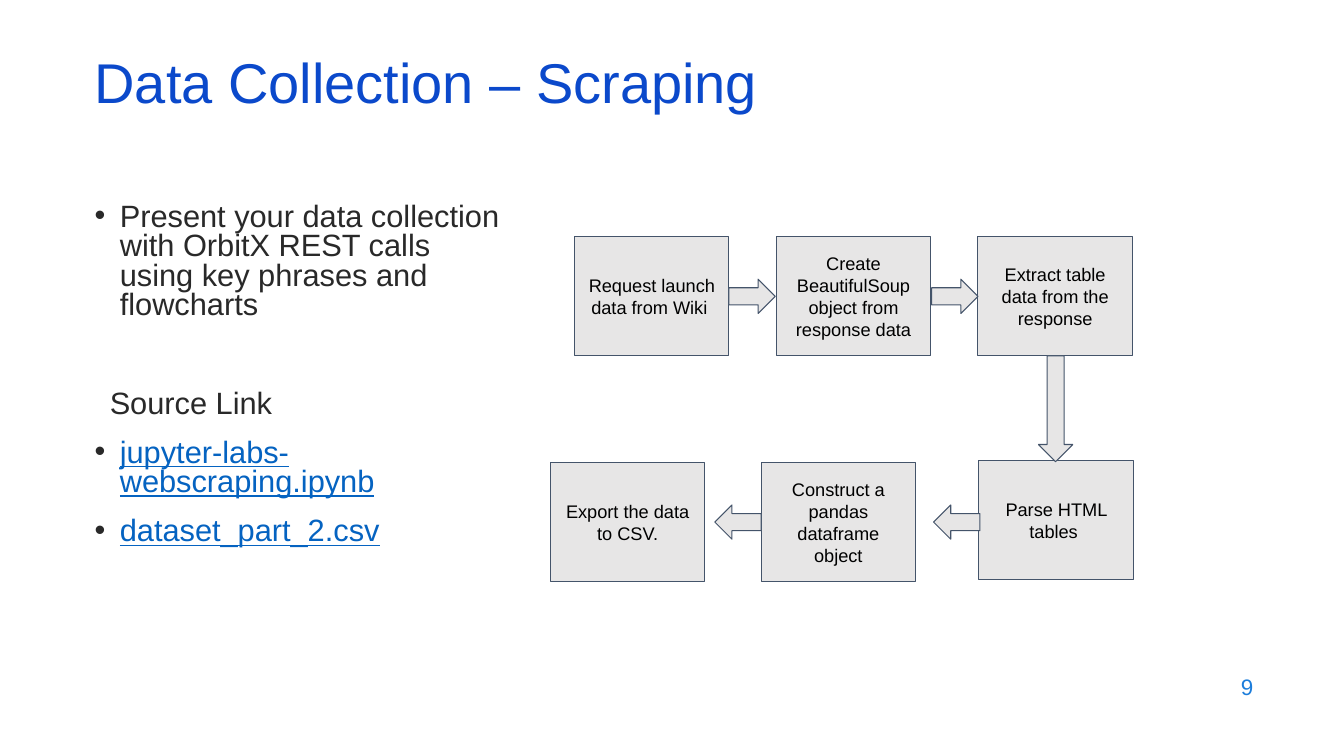
from pptx import Presentation
from pptx.dml.color import RGBColor
from pptx.enum import shapes, text
from pptx.oxml import parse_xml
from pptx.oxml.ns import nsdecls
from pptx.util import Inches, Pt

deck = Presentation()
deck.slide_width, deck.slide_height = Inches(13.33), Inches(7.5)
slide = deck.slides.add_slide(deck.slide_layouts[6])
KIND = shapes.MSO_SHAPE
ALIGN = text.PP_ALIGN
MIDDLE = text.MSO_ANCHOR.MIDDLE


def style(part, size, color, **format):
    """Set the font and the paragraph format."""
    part.font.name = "Arial"
    part.font.size = Pt(size)
    part.font.color.rgb = RGBColor.from_string(color)
    for name, value in format.items():
        setattr(part, name, value)


def draw(kind, *place):
    """Add a grey shape with a thin dark outline."""
    shape = slide.shapes.add_shape(kind, *map(Inches, place))
    shape.shadow.inherit = False
    shape.fill.solid()
    shape.fill.fore_color.rgb = RGBColor.from_string("E7E6E6")
    shape.line.color.rgb = RGBColor.from_string("44546A")
    shape.line.width = Pt(0.75)
    return shape


# Title and page number
labels = [
    ("Data Collection – Scraping", (0.84, 0.59, 11.5, 0.6), 40, "0B49CB",
     {"line_spacing": 0.7}),
    ("9", (9.53, 6.59, 3, 0.44), 16, "1C7DDB", {"alignment": ALIGN.RIGHT}),
]
for words, place, size, color, format in labels:
    frame = slide.shapes.add_textbox(*map(Inches, place)).text_frame
    frame.word_wrap = True
    frame.vertical_anchor = MIDDLE
    frame.text = words
    style(frame.paragraphs[0], size, color, **format)

# Bullets: words, space before, has bullet, is link
items = [
    ("Present your data collection with OrbitX REST calls using key phrases "
     "and flowcharts", 0, True, False),
    ("Source Link", 49, False, False),
    ("jupyter-labs-webscraping.ipynb", 14, True, True),
    ("dataset_part_2.csv", 14, True, True),
]
body = slide.shapes.add_textbox(*map(Inches, (0.84, 1.97, 4.28, 4.62))).text_frame
body.word_wrap = True
for i, (words, gap, dot, link) in enumerate(items):
    para = body.add_paragraph() if i else body.paragraphs[0]
    props = para._p.get_or_add_pPr()
    props.set("marL", str(Inches(0.25)))
    props.set("indent", str(Inches(-0.25 if dot else -0.1)))
    if dot:
        for tag in ('<a:buClr {}><a:srgbClr val="292929"/></a:buClr>',
                    '<a:buFont {} typeface="Arial"/>', '<a:buChar {} char="•"/>'):
            props.append(parse_xml(tag.format(nsdecls("a"))))
    para.line_spacing = 0.8
    para.space_before = Pt(gap)
    run = para.add_run()
    run.text = words
    style(run, 22, "0563C1" if link else "292929")
    run.font.underline = link

# Flowchart steps
steps = [
    (5.7, 2.35, "Request launch data from Wiki "),
    (7.7, 2.35, "Create BeautifulSoup object from response data"),
    (9.7, 2.35, "Extract table data from the response"),
    (9.71, 4.57, "Parse HTML tables "),
    (7.55, 4.59, "Construct a pandas dataframe object"),
    (5.46, 4.59, "Export the data to CSV."),
]
for left, top, words in steps:
    frame = draw(KIND.RECTANGLE, left, top, 1.53, 1.18).text_frame
    frame.word_wrap = True
    frame.vertical_anchor = MIDDLE
    for side in ("left", "top", "right", "bottom"):
        setattr(frame, f"margin_{side}", Inches(0.1))
    frame.text = words
    style(frame.paragraphs[0], 13, "000000", alignment=ALIGN.CENTER)

# Arrows between the steps
for left in (7.23, 9.24):
    draw(KIND.RIGHT_ARROW, left, 2.77, 0.46, 0.34)
draw(KIND.DOWN_ARROW, 10.3, 3.53, 0.34, 1.05)
for left in (9.26, 7.09):
    draw(KIND.LEFT_ARROW, left, 5.01, 0.46, 0.34)

deck.save("out.pptx")
